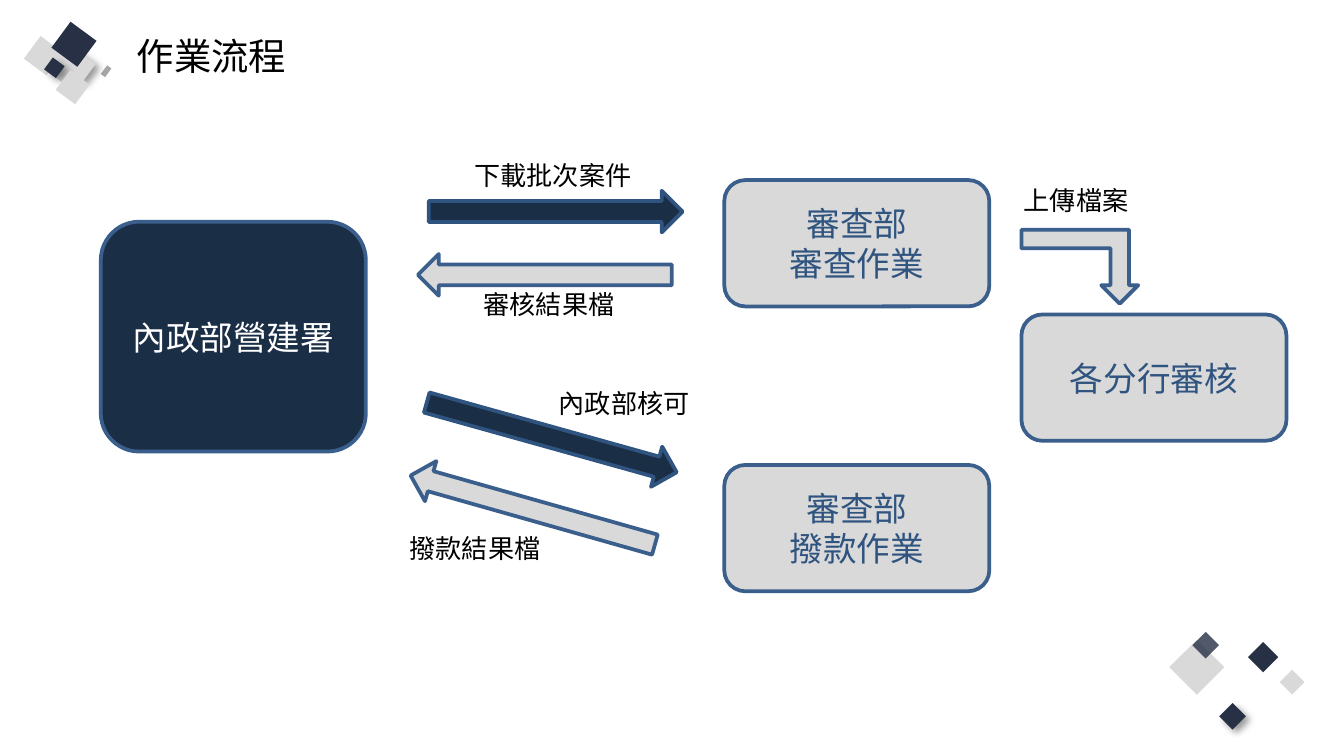
from pptx import Presentation
from pptx.dml.color import RGBColor
from pptx.enum.shapes import MSO_SHAPE
from pptx.enum.text import MSO_ANCHOR, MSO_AUTO_SIZE, PP_ALIGN
from pptx.oxml.ns import qn
from pptx.util import Pt
from lxml.etree import SubElement

FONT = "Noto Sans CJK SC"
COLORS = {
    "navy": "1A2E46", "ink": "273045", "pale": "D9D9D9", "gray": "A6A6A6",
    "outline": "3A5F8C", "blue": "305480", "white": "FFFFFF", "black": "000000",
}
BOX_WIDTH, BOX_HEIGHT = 142, 67.7
MIDDLE_COLUMN, RIGHT_COLUMN = 388, 547.2
ARROW_WIDTH, ARROW_HEIGHT = 136, 22.3


def color(name):
    return RGBColor.from_string(COLORS[name])


def add_shape(slide, kind, left, top, width, height, fill, line=None, rotation=0):
    shape = slide.shapes.add_shape(kind, Pt(left), Pt(top), Pt(width), Pt(height))
    shape.shadow.inherit = False
    shape.rotation = rotation
    shape.fill.solid()
    shape.fill.fore_color.rgb = color(fill)
    if line:
        shape.line.color.rgb = color(line)
        shape.line.width = Pt(2)
    else:
        shape.line.fill.background()
    return shape


def add_run(paragraph, text, size, font_color):
    run = paragraph.add_run()
    run.text = text
    run.font.size = Pt(size)
    run.font.name = FONT
    run.font.color.rgb = color(font_color)
    SubElement(run.font._element, qn("a:ea"), typeface=FONT)


def add_box(slide, left, top, lines, width=BOX_WIDTH, height=BOX_HEIGHT,
            fill="pale", font_color="blue"):
    shape = add_shape(slide, MSO_SHAPE.ROUNDED_RECTANGLE, left, top, width, height,
                      fill, "outline")
    frame = shape.text_frame
    frame.word_wrap = True
    frame.vertical_anchor = MSO_ANCHOR.MIDDLE
    for index, text in enumerate(lines):
        paragraph = frame.add_paragraph() if index else frame.paragraphs[0]
        paragraph.alignment = PP_ALIGN.CENTER
        add_run(paragraph, text, 18, font_color)


def add_label(slide, left, top, width, text, size=14, height=24.5, wrap=True):
    shape = slide.shapes.add_textbox(Pt(left), Pt(top), Pt(width), Pt(height))
    frame = shape.text_frame
    frame.word_wrap = wrap
    frame.auto_size = MSO_AUTO_SIZE.SHAPE_TO_FIT_TEXT
    add_run(frame.paragraphs[0], text, size, "black")


def add_alpha(color_element, percent):
    SubElement(color_element, qn("a:alpha"), val=str(percent * 1000))


def add_soft_shadow(shape):
    effects = shape._element.spPr.find(qn("a:effectLst"))
    shadow = SubElement(effects, qn("a:outerShdw"), blurRad=str(Pt(4)),
                        dist=str(Pt(3)), dir=str(45 * 60000), algn="tl",
                        rotWithShape="0")
    add_alpha(SubElement(shadow, qn("a:srgbClr"), val=COLORS["black"]), 40)


def add_tile(slide, left, top, size, fill, rotation, shadow=False, height=None):
    tile = add_shape(slide, MSO_SHAPE.RECTANGLE, left, top, size, height or size,
                     fill, rotation=rotation)
    if shadow:
        add_soft_shadow(tile)
    return tile


def add_decoration(slide):
    # Tilted tiles beside the title
    tilt = 306.4
    add_tile(slide, 54, 36.7, 5.8, "gray", tilt, height=2.9)
    for left, top, size, fill, shadow in (
        (15.8, 22.3, 15.1, "pale", False),
        (36.7, 29.5, 12.2, "pale", True),
        (31.7, 27.4, 7.9, "pale", False),
        (26.6, 28.8, 13.7, "pale", False),
        (25.2, 32.4, 7.9, "ink", True),
        (31, 15.1, 17.3, "ink", False),
        (32.4, 40.3, 13, "pale", False),
    ):
        add_tile(slide, left, top, size, fill, tilt, shadow)

    # Diamonds in the bottom corner
    add_tile(slide, 671, 346.3, 11.5, "ink", 315)
    add_tile(slide, 687.6, 360.7, 9.4, "pale", 315)
    add_tile(slide, 630.7, 347, 20.9, "pale", 135)
    add_tile(slide, 655.2, 378.7, 10.1, "ink", 135, shadow=True)
    glass = add_tile(slide, 640.8, 340.6, 10.1, "ink", 135)
    add_alpha(glass._element.spPr.find(qn("a:solidFill"))[0], 80)


def add_arrows(slide):
    # Requests are navy, results are pale and point back
    for left, top, width, fill, line, rotation in (
        (229.7, 102.2, ARROW_WIDTH, "navy", "blue", 0),
        (223.9, 136.1, ARROW_WIDTH, "pale", "outline", 180),
        (226.1, 223.2, 139, "navy", "blue", 15.6),
        (217.4, 262.1, ARROW_WIDTH, "pale", "outline", 195.8),
    ):
        add_shape(slide, MSO_SHAPE.RIGHT_ARROW, left, top, width, ARROW_HEIGHT,
                  fill, line, rotation)

    # Bent arrow turned downwards
    bent = add_shape(slide, MSO_SHAPE.BENT_UP_ARROW, RIGHT_COLUMN, 123.1, 62.6, 39.6,
                     "pale", "outline")
    bent._element.spPr.find(qn("a:xfrm")).set("flipV", "1")


def main():
    presentation = Presentation()
    presentation.slide_width, presentation.slide_height = Pt(720), Pt(405)
    slide = presentation.slides.add_slide(presentation.slide_layouts[6])

    add_decoration(slide)
    add_label(slide, 66.2, 14.4, 95, "作業流程", size=20, height=31.7, wrap=False)

    # Departments
    add_box(slide, 54, 118.8, ["內政部營建署"], height=123.1,
            fill="navy", font_color="white")
    add_box(slide, MIDDLE_COLUMN, 96.5, ["審查部", "審查作業"])
    add_box(slide, MIDDLE_COLUMN, 249.1, ["審查部", "撥款作業"])
    add_box(slide, RIGHT_COLUMN, 168.5, ["各分行審核"])

    add_arrows(slide)

    # Arrow labels
    for left, top, width, text in (
        (247, 82.1, 102.2, "下載批次案件"),
        (252, 151.2, 85, "審核結果檔"),
        (292.3, 203.8, 108, "內政部核可"),
        (212.4, 281.5, 108, "撥款結果檔"),
        (541.4, 95, 73.4, "上傳檔案"),
    ):
        add_label(slide, left, top, width, text)

    presentation.save("out.pptx")


main()
